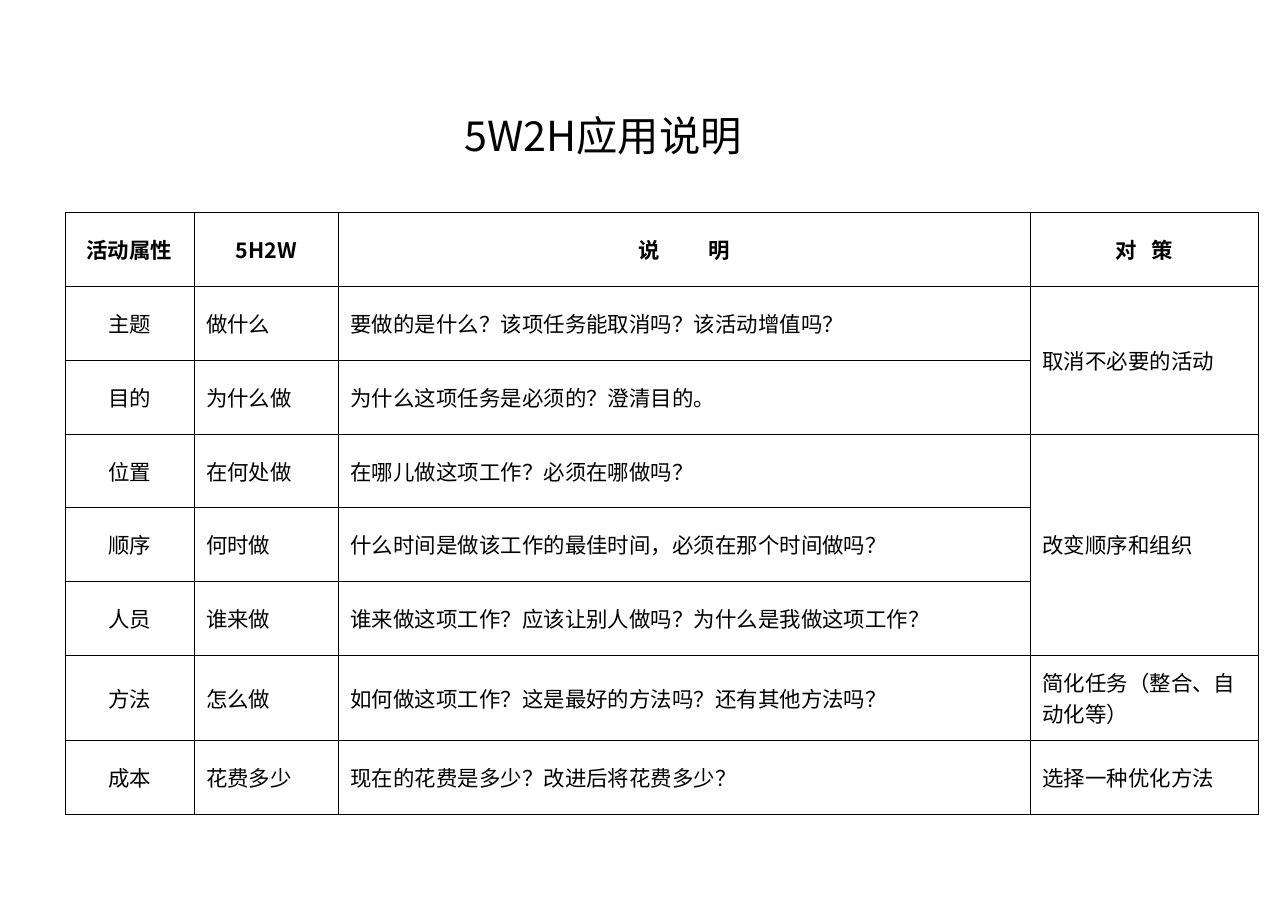
from typing import NamedTuple

from lxml import etree
from pptx import Presentation
from pptx import util as u
from pptx.dml.color import RGBColor
from pptx.enum import text
from pptx.oxml import ns

FONT = "Noto Sans CJK SC"
HUES = {"ink": "000000", "page": "FFFFFF"}
WIDE, HIGH = u.Inches(11.69), u.Inches(8.27)

# Percent of the slide's width or height
LEFT, TOP = 5.05, 23.34
COLS = [10.01, 11.21, 53.72, 17.71]
ROW, TALL = 8.1, 9.31
PAD = {"left": 0.94, "top": 0.6}


class Head(NamedTuple):
    label: str
    gap: float = 0  # points added to the space between its two characters


class Task(NamedTuple):
    topic: str
    ask: str
    detail: str
    remedy: str = ""
    span: int = 1
    height: float = ROW


HEADS = [Head("活动属性"), Head("5H2W"), Head("说 明", 28.5), Head("对 策", 6.5)]
TASKS = [
    Task("主题", "做什么", "要做的是什么？该项任务能取消吗？该活动增值吗？",
         "取消不必要的活动", span=2),
    Task("目的", "为什么做", "为什么这项任务是必须的？澄清目的。"),
    Task("位置", "在何处做", "在哪儿做这项工作？必须在哪做吗？", "改变顺序和组织", span=3),
    Task("顺序", "何时做", "什么时间是做该工作的最佳时间，必须在那个时间做吗？"),
    Task("人员", "谁来做", "谁来做这项工作？应该让别人做吗？为什么是我做这项工作？"),
    Task("方法", "怎么做", "如何做这项工作？这是最好的方法吗？还有其他方法吗？",
         "简化任务（整合、自动化等）", height=TALL),
    Task("成本", "花费多少", "现在的花费是多少？改进后将花费多少？", "选择一种优化方法"),
]


def across(share: float) -> int:
    return round(WIDE * share / 100)


def down(share: float) -> int:
    return round(HIGH * share / 100)


def add_run(para, words: str, size: float, bold: bool = False, gap: float = 0) -> None:
    run = para.add_run()
    run.text = words
    font = run.font
    font.size, font.bold, font.name = u.Pt(size), bold, FONT
    font.color.rgb = RGBColor.from_string(HUES["ink"])
    props = run._r.get_or_add_rPr()
    etree.SubElement(props, ns.qn("a:ea"), typeface=FONT)
    if gap:
        props.set("spc", str(round(gap * 100)))


def set_pad(box) -> None:
    box.margin_left = box.margin_right = across(PAD["left"])
    box.margin_top = box.margin_bottom = down(PAD["top"])


def style_cell(cell) -> None:
    """Give the cell thin ruled sides, no fill and centred height."""
    props = cell._tc.get_or_add_tcPr()
    for side in ("lnL", "lnR", "lnT", "lnB"):
        line = etree.SubElement(props, ns.qn(f"a:{side}"), w=str(u.Pt(0.45)))
        fill = etree.SubElement(line, ns.qn("a:solidFill"))
        etree.SubElement(fill, ns.qn("a:srgbClr"), val=HUES["ink"])
    cell.fill.background()
    cell.vertical_anchor = text.MSO_ANCHOR.MIDDLE
    set_pad(cell)


def align(cell, centred: bool):
    para = cell.text_frame.paragraphs[0]
    para.alignment = text.PP_ALIGN.CENTER if centred else text.PP_ALIGN.LEFT
    return para


def add_title(slide) -> None:
    title = slide.shapes.title
    title.left, title.top = across(14.54), down(11.49)
    title.width, title.height = across(64.59), down(8.34)
    frame = title.text_frame
    frame.auto_size = text.MSO_AUTO_SIZE.NONE
    frame.word_wrap = True
    frame.vertical_anchor = text.MSO_ANCHOR.TOP
    set_pad(frame)
    para = frame.paragraphs[0]
    para.alignment = text.PP_ALIGN.CENTER
    add_run(para, "5W2H应用说明", 27)


def add_grid(slide) -> None:
    rows = [ROW] + [task.height for task in TASKS]
    frame = slide.shapes.add_table(
        len(rows), len(COLS), across(LEFT), down(TOP),
        across(sum(COLS)), down(sum(rows)))
    table = frame.table
    table.first_row = table.horz_banding = False
    for col, share in zip(table.columns, COLS):
        col.width = across(share)
    for row, share in zip(table.rows, rows):
        row.height = down(share)
    for cell in table.iter_cells():
        style_cell(cell)

    for col, head in enumerate(HEADS):
        para = align(table.cell(0, col), True)
        first, space, last = head.label.partition(" ")
        add_run(para, first, 14, bold=True)
        if space:
            add_run(para, space, 14, bold=True, gap=head.gap)
            add_run(para, last, 14, bold=True)

    for row, task in enumerate(TASKS, 1):
        if task.span > 1:
            table.cell(row, 3).merge(table.cell(row + task.span - 1, 3))
        for col, words in enumerate((task.topic, task.ask, task.detail, task.remedy)):
            if words:
                add_run(align(table.cell(row, col), col == 0), words, 14)


def main() -> None:
    deck = Presentation()
    deck.slide_width, deck.slide_height = WIDE, HIGH
    slide = deck.slides.add_slide(deck.slide_layouts[5])
    back = slide.background.fill
    back.solid()
    back.fore_color.rgb = RGBColor.from_string(HUES["page"])
    add_title(slide)
    add_grid(slide)
    deck.save("out.pptx")


if __name__ == "__main__":
    main()
